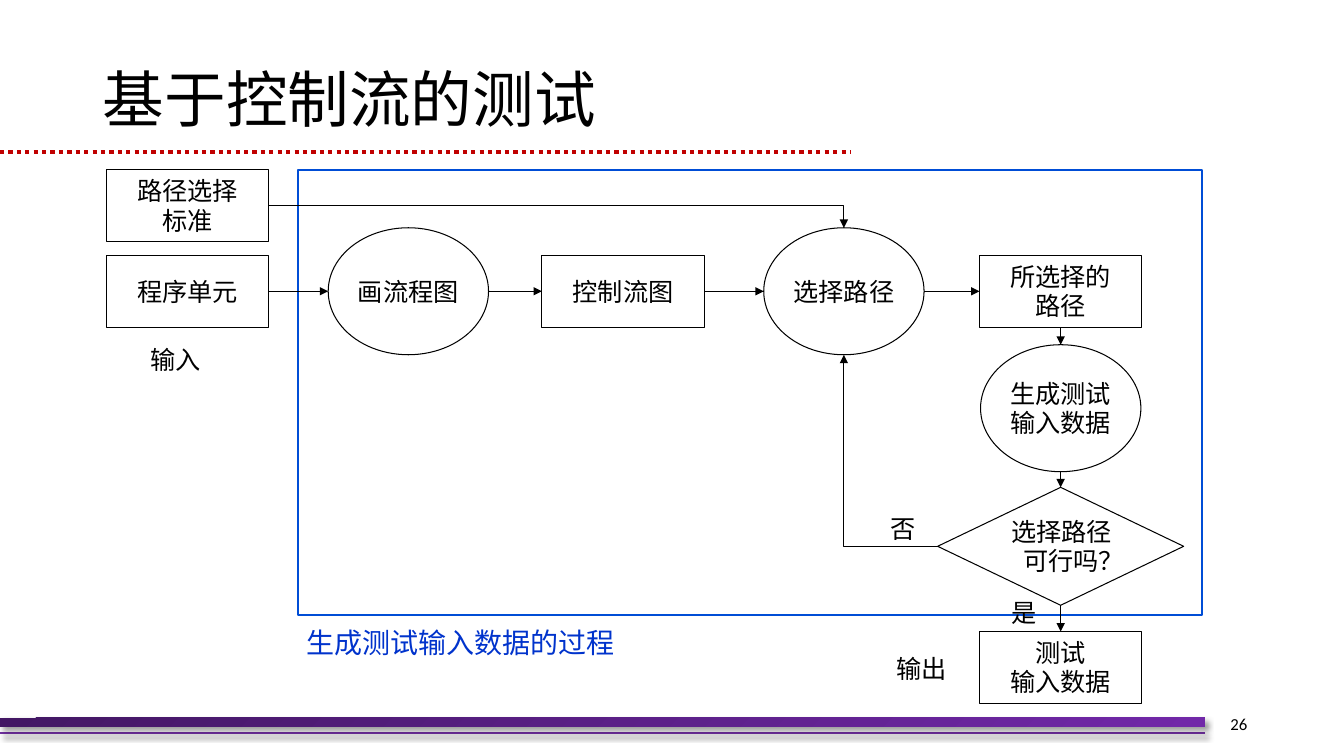
"""Builds the control-flow-based testing slide."""
from lxml import etree
from pptx import Presentation
from pptx.dml.color import RGBColor
from pptx.enum.dml import MSO_LINE
from pptx.enum.shapes import MSO_CONNECTOR, MSO_SHAPE
from pptx.enum.text import MSO_ANCHOR, MSO_AUTO_SIZE, PP_ALIGN
from pptx.oxml import parse_xml
from pptx.oxml.ns import nsdecls, qn
from pptx.util import Inches, Pt

RECT, OVAL, DIAMOND = MSO_SHAPE.RECTANGLE, MSO_SHAPE.OVAL, MSO_SHAPE.DIAMOND
STRAIGHT = MSO_CONNECTOR.STRAIGHT
DOTTED = MSO_LINE.ROUND_DOT
LEFT, CENTER, RIGHT = PP_ALIGN.LEFT, PP_ALIGN.CENTER, PP_ALIGN.RIGHT
MIDDLE, TOP = MSO_ANCHOR.MIDDLE, MSO_ANCHOR.TOP
NO_AUTOSIZE = MSO_AUTO_SIZE.NONE
TOP_SIDE, LEFT_SIDE, BOTTOM_SIDE, RIGHT_SIDE = range(4)
NODE_SIZES = {RECT: (1.61, 0.71), OVAL: (1.59, 1.26), DIAMOND: (2.44, 1.17)}


def color(hex_text):
    """Turns a hex string into a colour."""
    return RGBColor.from_string(hex_text)


class FlowSlide:
    """Holds the style and the current slide, and draws its elements."""

    cjk_font = "Noto Sans CJK SC"
    black = "000000"

    def __init__(self, slide):
        """Keeps the slide to draw on."""
        self.slide = slide
        self.shapes = slide.shapes

    def set_text(self, frame, text, size=18, hex_text=black, font=cjk_font,
                 align=LEFT, anchor=TOP, spacing=None, inset=0):
        """Fills a text frame and formats its runs."""
        frame.text = text
        frame.auto_size = NO_AUTOSIZE
        frame.vertical_anchor = anchor
        frame.margin_left = frame.margin_right = Inches(inset)
        frame.margin_top = frame.margin_bottom = Inches(inset / 2)
        for paragraph in frame.paragraphs:
            paragraph.alignment = align
            paragraph.line_spacing = spacing
            for run in paragraph.runs:
                run.font.size = Pt(size)
                run.font.color.rgb = color(hex_text)
                run.font.name = font
                east_asian = etree.SubElement(run.font._element, qn("a:ea"))
                east_asian.set("typeface", font)

    def title(self, text):
        """Moves and fills the title placeholder."""
        title = self.shapes.title
        title.left, title.top = Inches(0.92), Inches(0.29)
        title.width, title.height = Inches(11.5), Inches(1.45)
        title.text_frame.word_wrap = True
        self.set_text(title.text_frame, text, 44, anchor=MIDDLE, spacing=0.9, inset=0.1)

    def label(self, text, left, top, width, height=0.36, **style):
        """Adds free-standing text."""
        box = self.shapes.add_textbox(*map(Inches, (left, top, width, height)))
        box.text_frame.word_wrap = True
        self.set_text(box.text_frame, text, **style)

    def outline(self, kind, left, top, width, height, hex_text=black, weight=0.75):
        """Adds an unfilled preset shape."""
        shape = self.shapes.add_shape(kind, *map(Inches, (left, top, width, height)))
        shape.shadow.inherit = False
        shape.fill.background()
        shape.line.color.rgb = color(hex_text)
        shape.line.width = Pt(weight)
        return shape

    def node(self, kind, text, center_x, center_y, align=CENTER):
        """Adds a flow node around its centre."""
        width, height = NODE_SIZES[kind]
        shape = self.outline(kind, center_x - width / 2, center_y - height / 2, width, height)
        shape.text_frame.word_wrap = False
        self.set_text(shape.text_frame, text, align=align, anchor=MIDDLE,
                      spacing=Pt(21) if "\v" in text else None)
        return shape

    def line(self, start, end, hex_text=black, weight=0.75, dash=None):
        """Adds a straight line between two points given as lengths."""
        line = self.shapes.add_connector(STRAIGHT, *start, *end)
        line.line.color.rgb = color(hex_text)
        line.line.width = Pt(weight)
        line.line.dash_style = dash
        etree.SubElement(line._element.spPr, qn("a:effectLst"))
        return line

    def arrowhead(self, line):
        """Puts a triangle at the end of a line."""
        etree.SubElement(line.get_or_add_ln(), qn("a:tailEnd")).set("type", "triangle")

    def arrow(self, source, target, down=False):
        """Links two nodes, to the right or downwards."""
        def side_point(node, share):
            """Finds the middle of the leaving or entering side."""
            across = node.width // 2 if down else int(node.width * share)
            along = int(node.height * share) if down else node.height // 2
            return node.left + across, node.top + along

        link = self.line(side_point(source, 1), side_point(target, 0))
        if source.auto_shape_type != OVAL:
            link.begin_connect(source, BOTTOM_SIDE if down else RIGHT_SIDE)
        if target.auto_shape_type != OVAL:
            link.end_connect(target, TOP_SIDE if down else LEFT_SIDE)
        self.arrowhead(link)

    def bent_arrow(self, start, *corners):
        """Adds an angled arrow through the given points."""
        points = [(Inches(x), Inches(y)) for x, y in corners]
        builder = self.shapes.build_freeform(*map(Inches, start))
        builder.add_line_segments(points, close=False)
        bend = builder.convert_to_shape()
        bend.shadow.inherit = False
        bend.fill.background()
        bend.line.color.rgb = color(self.black)
        bend.line.width = Pt(0.75)
        self.arrowhead(bend)

    def cast_shadow(self, shape):
        """Gives a shape a soft shadow to the lower right."""
        properties = shape._element.spPr
        for effects in properties.findall(qn("a:effectLst")):
            properties.remove(effects)
        properties.append(parse_xml(
            f'<a:effectLst {nsdecls("a")}><a:outerShdw blurRad="{Pt(4)}" dist="{Pt(3)}" '
            'dir="2700000" algn="tl" rotWithShape="0"><a:srgbClr val="000000">'
            '<a:alpha val="40000"/></a:srgbClr></a:outerShdw></a:effectLst>'))

    def decorate(self):
        """Draws the title rule and the footer bar."""
        rule_y, footer_y, footer_end = Inches(1.51), Inches(7.27), Inches(11.95)
        self.line((0, rule_y), (Inches(8.44), rule_y), "C00000", 3, DOTTED)
        self.cast_shadow(self.line((0, footer_y), (footer_end, footer_y), "7030A0", 1.5))
        bar = self.outline(RECT, 0, 7.12, 11.95, 0.09)
        bar.line.fill.background()
        bar.fill.gradient()
        bar.fill.gradient_angle = 315
        for stop, hex_text in zip(bar.fill.gradient_stops, ("431764", "7128A8")):
            stop.color.rgb = color(hex_text)
        self.cast_shadow(bar)


def main():
    """Builds and saves the slide."""
    deck = Presentation()
    deck.slide_width, deck.slide_height = Inches(13.33), Inches(7.5)
    page = FlowSlide(deck.slides.add_slide(deck.slide_layouts[5]))
    page.decorate()
    page.title("基于控制流的测试")
    page.outline(RECT, 2.96, 1.69, 8.96, 4.41, "004DD6", 1.5)

    input_x, select_x, output_x = 1.86, 8.37, 10.52
    criteria_y, row_y, check_y = 2.04, 2.89, 5.42
    page.node(RECT, "路径选择\v标准", input_x, criteria_y)
    program_unit = page.node(RECT, "程序单元", input_x, row_y)
    draw_graph = page.node(OVAL, "画流程图", 4.05, row_y)
    flow_graph = page.node(RECT, "控制流图", 6.18, row_y)
    select_path = page.node(OVAL, "选择路径", select_x, row_y)
    chosen_path = page.node(RECT, "所选择的\v路径", output_x, row_y)
    generate_data = page.node(OVAL, "生成测试\v输入数据", output_x, 4.05)
    feasible = page.node(DIAMOND, "选择路径\v可行吗？", output_x, check_y, LEFT)
    hanging = feasible.text_frame.paragraphs[0]._p.get_or_add_pPr()
    hanging.set("marL", str(Inches(0.24)))
    hanging.set("indent", str(Inches(-0.12)))
    test_data = page.node(RECT, "测试\v输入数据", output_x, 6.62)

    row = [program_unit, draw_graph, flow_graph, select_path, chosen_path]
    column = [chosen_path, generate_data, feasible, test_data]
    for steps, down in ((row, False), (column, True)):
        for source, target in zip(steps, steps[1:]):
            page.arrow(source, target, down)
    page.bent_arrow((2.67, criteria_y), (select_x, criteria_y), (select_x, 2.26))
    page.bent_arrow((9.3, check_y), (select_x, check_y), (select_x, 3.52))

    for text, left, top, width in (("输入", 1.49, 3.42, 0.53), ("输出", 8.89, 6.48, 0.53),
                                   ("否", 8.83, 5.09, 0.28), ("是", 10.03, 5.93, 0.28)):
        page.label(text, left, top, width)
    page.label("生成测试输入数据的过程", 3.04, 6.21, 3.2, 0.4, size=20, hex_text="0033CC")
    page.label("26", 11.38, 6.98, 1.09, 0.4, size=12, font="Calibri",
               align=RIGHT, anchor=MIDDLE, inset=0.1)
    deck.save("out.pptx")


if __name__ == "__main__":
    main()
